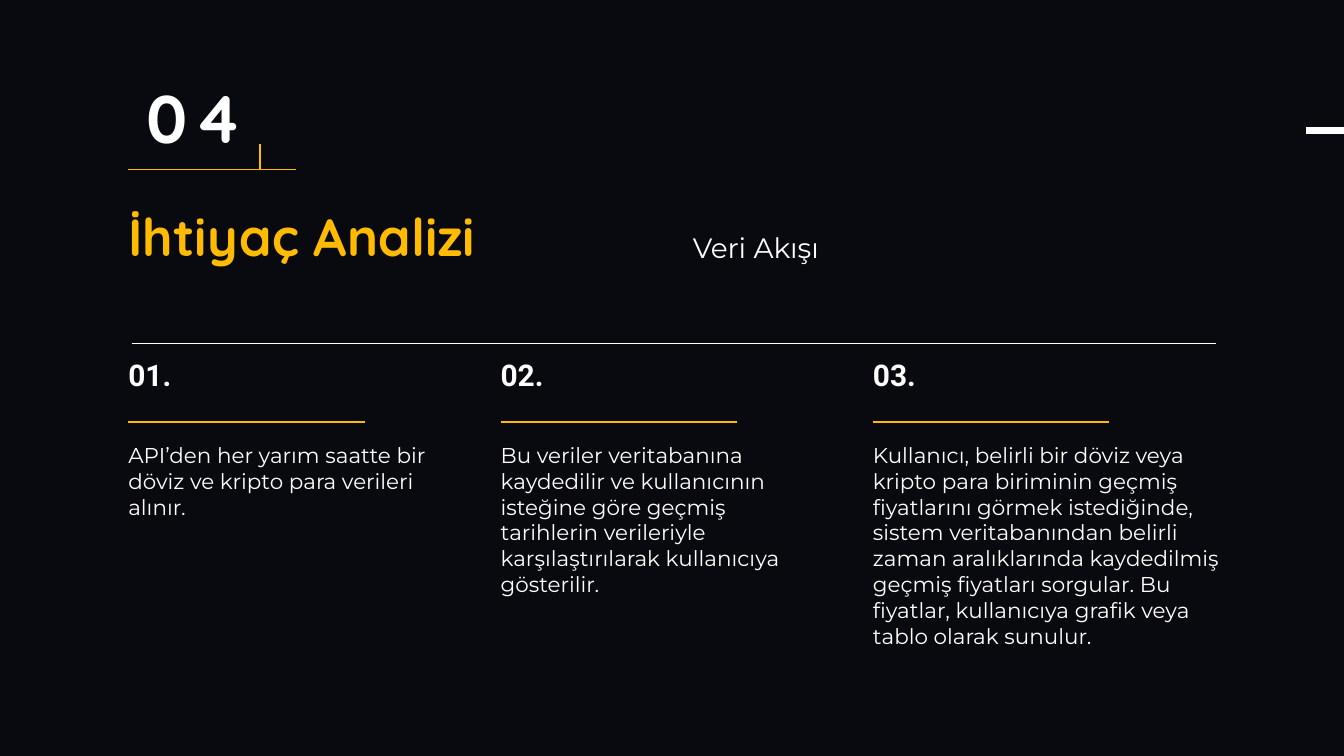
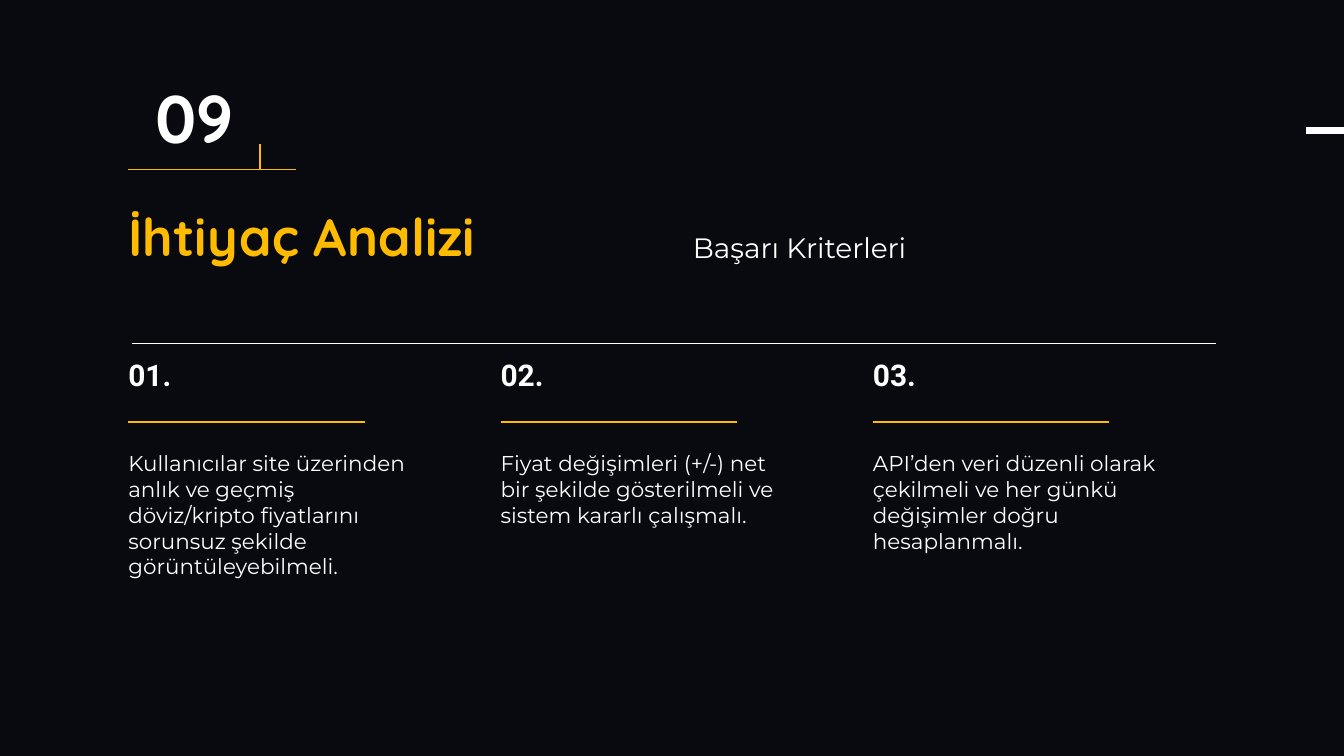
import dataclasses

import lxml.etree
import pptx
import pptx.dml.color
import pptx.enum.shapes
import pptx.enum.text
import pptx.oxml.ns
import pptx.util

Inches = pptx.util.Inches
Pt = pptx.util.Pt
ALIGN = pptx.enum.text.PP_ALIGN


def rgb(value):
    return pptx.dml.color.RGBColor.from_string(value)


@dataclasses.dataclass(frozen=True)
class Theme:
    background: str = "080A0F"
    accent: str = "FFBB00"
    light: str = "FFFFFF"
    thin: float = 1.5
    thick: float = 7.5
    # Text styles: font format values, then exact line spacing in points
    number = ({"name": "Quicksand", "size": Pt(72), "bold": True}, light, 72)
    title = ({"name": "Quicksand", "size": Pt(56), "bold": True}, accent, 56)
    subtitle = ({"name": "Montserrat", "size": Pt(30), "bold": False}, light, 36)
    label = ({"name": "Roboto", "size": Pt(32), "bold": True}, light, 32)
    body = ({"name": "Montserrat", "size": Pt(23), "bold": False}, light, 27.6)


THEME = Theme()

# Column grid, in inches
COLUMN_LEFT = 1.91
COLUMN_STEP = 5.54
COLUMN_RULE_WIDTH = 3.52

# Each column: text, box width, number of lines
PAGES = [
    {
        "number": "04",
        "tracking": 7.2,
        "subtitle": "Veri Akışı",
        "body_top": 6.58,
        "columns": [
            ("API’den her yarım saatte bir döviz ve kripto para verileri alınır.", 4.44, 3),
            ("Bu veriler veritabanına kaydedilir ve kullanıcının isteğine göre "
             "geçmiş tarihlerin verileriyle karşılaştırılarak kullanıcıya "
             "gösterilir.", 4.44, 6),
            ("Kullanıcı, belirli bir döviz veya kripto para biriminin geçmiş "
             "fiyatlarını görmek istediğinde, sistem veritabanından belirli "
             "zaman aralıklarında kaydedilmiş geçmiş fiyatları sorgular. Bu "
             "fiyatlar, kullanıcıya grafik veya tablo olarak sunulur.", 5.47, 8),
        ],
    },
    {
        "number": "09",
        "tracking": 0,
        "subtitle": "Başarı Kriterleri",
        "body_top": 6.7,
        "columns": [
            ("Kullanıcılar site üzerinden anlık ve geçmiş döviz/kripto "
             "fiyatlarını sorunsuz şekilde görüntüleyebilmeli.", 4.44, 5),
            ("Fiyat değişimleri (+/-) net bir şekilde gösterilmeli ve sistem "
             "kararlı çalışmalı.", 4.44, 3),
            ("API’den veri düzenli olarak çekilmeli ve her günkü değişimler "
             "doğru hesaplanmalı.", 4.49, 4),
        ],
    },
]


def write_text(box, text, style, align=ALIGN.LEFT):
    """Fill a box with one styled paragraph and return its span."""
    font_format, color, spacing = style
    frame = box.text_frame
    frame_format = {
        "margin_left": 0, "margin_top": 0, "margin_right": 0, "margin_bottom": 0,
        "word_wrap": True,
        "auto_size": pptx.enum.text.MSO_AUTO_SIZE.SHAPE_TO_FIT_TEXT,
        "vertical_anchor": pptx.enum.text.MSO_ANCHOR.TOP,
    }
    for name, value in frame_format.items():
        setattr(frame, name, value)
    para = frame.paragraphs[0]
    para.alignment = align
    para.line_spacing = Pt(spacing)
    span = para.add_run()
    span.text = text
    for name, value in font_format.items():
        setattr(span.font, name, value)
    span.font.color.rgb = rgb(color)
    return span


def add_text(page, text, left, top, width, height, style, align=ALIGN.LEFT):
    box = page.shapes.add_textbox(
        Inches(left), Inches(top), Inches(width), Inches(height))
    return write_text(box, text, style, align)


def add_line(page, start, end, color, weight=THEME.thin):
    line = page.shapes.add_connector(
        pptx.enum.shapes.MSO_CONNECTOR.STRAIGHT,
        *(Inches(value) for value in (*start, *end)))
    line.line.color.rgb = rgb(color)
    line.line.width = Pt(weight)
    # An empty effect list removes the shadow
    properties = line._element.find(pptx.oxml.ns.qn("p:spPr"))
    lxml.etree.SubElement(properties, pptx.oxml.ns.qn("a:effectLst"))


def set_title(page, text):
    title = page.shapes.title
    place = {"left": 1.91, "top": 3.2, "width": 5.75, "height": 0.94}
    for name, value in place.items():
        setattr(title, name, Inches(value))
    write_text(title, text, THEME.title)


def add_page_number(page, text, tracking):
    span = add_text(page, text, 1.91, 1.33, 1.96, 1.21, THEME.number, ALIGN.CENTER)
    if tracking:
        # Letter spacing in hundredths of a point
        span._r.get_or_add_rPr().set("spc", str(round(tracking * 100)))
    add_line(page, (3.87, 2.15), (3.87, 2.52), THEME.accent)
    add_line(page, (1.91, 2.52), (4.41, 2.52), THEME.accent)


def add_header(page, content):
    add_page_number(page, content["number"], content["tracking"])
    set_title(page, "İhtiyaç Analizi")
    add_text(page, content["subtitle"], 10.31, 3.43, 5.5, 0.49, THEME.subtitle)
    # Divider and dash at the right edge
    add_line(page, (1.96, 5.11), (18.09, 5.11), THEME.light)
    add_line(page, (19.44, 1.94), (20.1, 1.94), THEME.light, THEME.thick)


def add_column(page, index, column, body_top):
    text, width, line_count = column
    left = COLUMN_LEFT + index * COLUMN_STEP
    add_text(page, f"{index + 1:02}.", left, 5.39, 0.83, 0.5, THEME.label)
    add_line(page, (left, 6.28), (left + COLUMN_RULE_WIDTH, 6.28), THEME.accent)
    height = line_count * THEME.body[2] / 72
    add_text(page, text, left, body_top, width, height, THEME.body)


def main():
    deck = pptx.Presentation()
    deck.slide_width = Inches(20)
    deck.slide_height = Inches(11.25)
    backdrop = deck.slide_master.background.fill
    backdrop.solid()
    backdrop.fore_color.rgb = rgb(THEME.background)
    title_only = deck.slide_layouts.get_by_name("Title Only")

    for content in PAGES:
        page = deck.slides.add_slide(title_only)
        add_header(page, content)
        for index, column in enumerate(content["columns"]):
            add_column(page, index, column, content["body_top"])

    deck.save("out.pptx")


if __name__ == "__main__":
    main()
